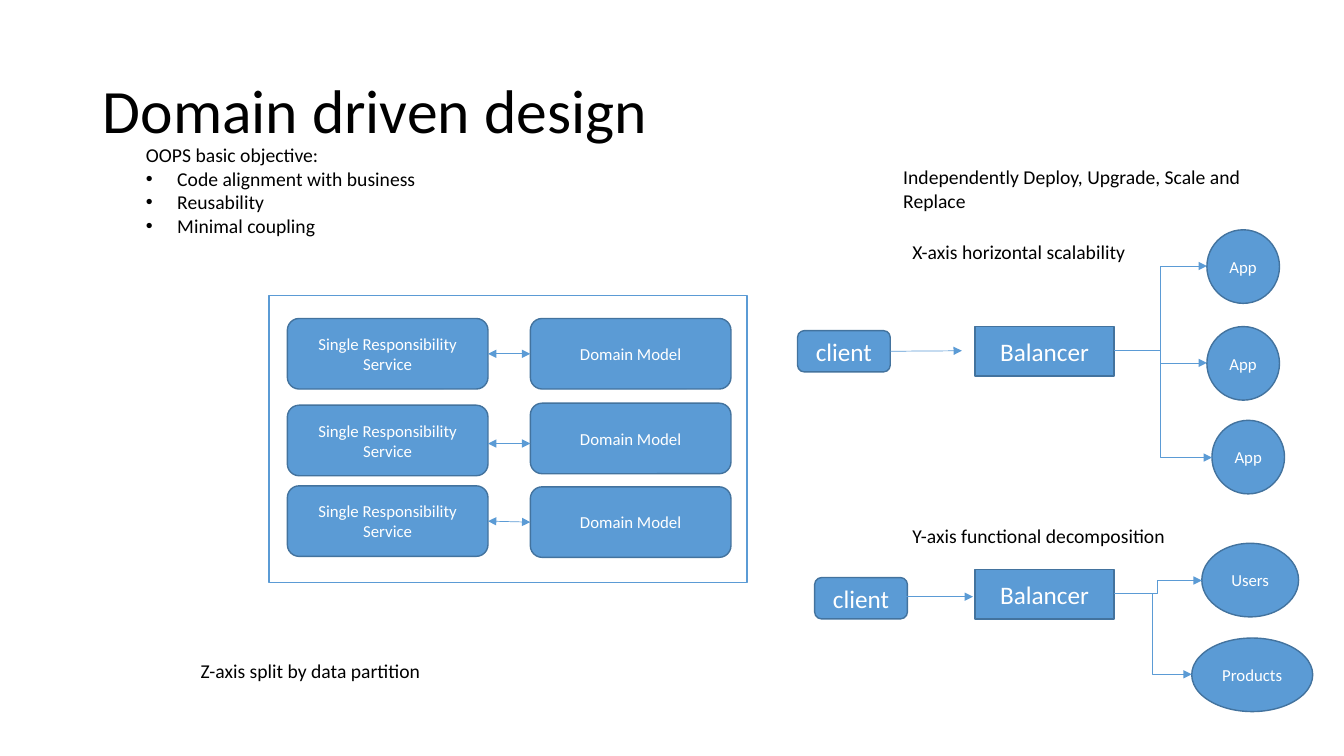
"""Build the slide on domain driven design and its three scaling axes."""
from dataclasses import dataclass

import lxml.etree
import pptx
import pptx.dml.color
import pptx.enum.shapes
import pptx.enum.text
import pptx.oxml.ns
import pptx.util

Inches = pptx.util.Inches
Kind = pptx.enum.shapes.MSO_SHAPE
Route = pptx.enum.shapes.MSO_CONNECTOR
LEFT_SIDE, RIGHT_SIDE = 1, 3


@dataclass(frozen=True)
class Theme:
    font: str = "Calibri"
    fill: str = "5B9BD5"
    outline: str = "43739E"
    paper: str = "FFFFFF"
    ink: str = "000000"
    title_size: int = 44
    label_size: int = 18
    note_size: int = 14
    node_size: int = 12
    outline_width: float = 1
    link_width: float = 0.5


THEME = Theme()


@dataclass(frozen=True)
class Node:
    kind: int
    left: float
    top: float
    width: float
    height: float
    text: str = ""
    size: int = THEME.node_size
    fill: str = THEME.fill
    outline: str = THEME.outline


@dataclass(frozen=True)
class Link:
    start: tuple[float, float]
    end: tuple[float, float]
    trunk: float | None = None
    both_ends: bool = False
    source: Node | None = None
    target: Node | None = None


@dataclass(frozen=True)
class Note:
    left: float
    top: float
    width: float
    height: float
    text: str
    bullets: tuple[str, ...] = ()


def service(top: float) -> Node:
    """Describe one service box."""
    return Node(Kind.ROUNDED_RECTANGLE, 2.85, top, 1.99, 0.7, "Single Responsibility Service")


def model(top: float) -> Node:
    """Describe one domain model box."""
    return Node(Kind.ROUNDED_RECTANGLE, 5.26, top, 1.99, 0.7, "Domain Model")


def client(left: float, top: float) -> Node:
    """Describe one client box."""
    return Node(Kind.ROUNDED_RECTANGLE, left, top, 0.92, 0.41, "client", THEME.label_size)


def balancer(top: float) -> Node:
    """Describe one balancer box."""
    return Node(Kind.RECTANGLE, 9.67, top, 1.38, 0.49, "Balancer", THEME.label_size)


def target(left: float, top: float, width: float, text: str) -> Node:
    """Describe one ellipse that a balancer feeds."""
    return Node(Kind.OVAL, left, top, width, 0.73, text)


FRAME = Node(Kind.RECTANGLE, 2.67, 2.93, 4.74, 2.85, fill=THEME.paper, outline=THEME.fill)
SERVICES = [service(top) for top in (3.16, 4.02, 4.82)]
MODELS = [model(top) for top in (3.16, 4.0, 4.83)]
CLIENTS = [client(7.91, 3.28), client(8.08, 5.73)]
BALANCERS = [balancer(3.24), balancer(5.65)]
TARGETS = [
    target(11.97, 2.28, 0.72, "App"),
    target(11.97, 3.24, 0.72, "App"),
    target(12.02, 4.17, 0.72, "App"),
    target(11.92, 5.39, 0.96, "Users"),
    target(11.82, 6.33, 1.2, "Products"),
]
LINKS = [
    Link((4.84, 3.51), (5.26, 3.51), None, True, SERVICES[0], MODELS[0]),
    Link((4.84, 4.4), (5.26, 4.4), None, True),
    Link((4.84, 5.17), (5.26, 5.18), None, True, SERVICES[2], MODELS[2]),
    Link((8.83, 3.48), (9.54, 3.48), source=CLIENTS[0]),
    Link((8.95, 5.92), (9.65, 5.92)),
    Link((11.05, 3.48), (11.97, 2.64), 11.51),
    Link((11.05, 3.48), (11.97, 3.6), 11.51),
    Link((11.05, 3.48), (12.02, 4.54), 11.51),
    Link((11.05, 5.89), (11.92, 5.76), 11.48),
    Link((11.05, 5.89), (11.82, 6.69), 11.43),
]
NOTES = [
    Note(1.35, 1.37, 3.37, 1.04, "OOPS basic objective:",
         ("Code alignment with business", "Reusability", "Minimal coupling")),
    Note(8.86, 1.59, 4.05, 0.57, "Independently Deploy, Upgrade, Scale and Replace"),
    Note(8.95, 2.33, 3.92, 0.34, "X-axis horizontal scalability"),
    Note(8.95, 5.15, 3.92, 0.34, "Y-axis functional decomposition"),
    Note(1.89, 6.49, 3.92, 0.34, "Z-axis split by data partition"),
]


def colour(code: str) -> pptx.dml.color.RGBColor:
    """Turn a hex code into a colour."""
    return pptx.dml.color.RGBColor.from_string(code)


def add_child(parent, tag: str, **attributes: str):
    """Append a drawing element to its parent."""
    return lxml.etree.SubElement(parent, pptx.oxml.ns.qn(tag), attributes)


def add_span(para, text: str, size: int, ink: str) -> None:
    """Add one styled run to a paragraph."""
    span = para.add_run()
    span.text = text
    span.font.name = THEME.font
    span.font.size = pptx.util.Pt(size)
    span.font.color.rgb = colour(ink)


def add_title(page, text: str) -> None:
    """Add the page title."""
    box = page.shapes.add_textbox(Inches(0.92), Inches(0.4), Inches(11.5), Inches(1.45))
    frame = box.text_frame
    frame.word_wrap = True
    frame.vertical_anchor = pptx.enum.text.MSO_ANCHOR.MIDDLE
    frame.paragraphs[0].line_spacing = 0.9
    add_span(frame.paragraphs[0], text, THEME.title_size, THEME.ink)


def add_note(page, note: Note) -> None:
    """Add a text box with optional bullets."""
    box = page.shapes.add_textbox(*map(Inches, (note.left, note.top, note.width, note.height)))
    frame = box.text_frame
    frame.word_wrap = True
    frame.auto_size = pptx.enum.text.MSO_AUTO_SIZE.SHAPE_TO_FIT_TEXT
    add_span(frame.paragraphs[0], note.text, THEME.note_size, THEME.ink)
    for bullet in note.bullets:
        para = frame.add_paragraph()
        add_span(para, bullet, THEME.note_size, THEME.ink)
        properties = para._p.get_or_add_pPr()
        properties.set("marL", str(Inches(0.31)))
        properties.set("indent", str(-Inches(0.31)))
        add_child(properties, "a:buFont", typeface="Arial")
        add_child(properties, "a:buChar", char="•")


def add_node(page, node: Node):
    """Add a filled shape with its centred label."""
    box = page.shapes.add_shape(
        node.kind, *map(Inches, (node.left, node.top, node.width, node.height)))
    box.shadow.inherit = False
    box.fill.solid()
    box.fill.fore_color.rgb = colour(node.fill)
    box.line.color.rgb = colour(node.outline)
    box.line.width = pptx.util.Pt(THEME.outline_width)
    if node.text:
        box.text_frame.word_wrap = True
        box.text_frame.vertical_anchor = pptx.enum.text.MSO_ANCHOR.MIDDLE
        para = box.text_frame.paragraphs[0]
        para.alignment = pptx.enum.text.PP_ALIGN.CENTER
        add_span(para, node.text, node.size, THEME.paper)
    return box


def add_link(page, link: Link, boxes: dict) -> None:
    """Add a straight arrow, or an elbow arrow that turns at its trunk."""
    route = Route.STRAIGHT if link.trunk is None else Route.ELBOW
    arrow = page.shapes.add_connector(route, *map(Inches, link.start + link.end))
    if link.source:
        arrow.begin_connect(boxes[link.source], RIGHT_SIDE)
    if link.target:
        arrow.end_connect(boxes[link.target], LEFT_SIDE)
    arrow.line.color.rgb = colour(THEME.fill)
    arrow.line.width = pptx.util.Pt(THEME.link_width)
    properties = arrow.element.spPr
    if link.trunk is not None:
        share = (link.trunk - link.start[0]) / (link.end[0] - link.start[0])
        guides = properties.find(".//" + pptx.oxml.ns.qn("a:avLst"))
        add_child(guides, "a:gd", name="adj1", fmla=f"val {round(share * 100000)}")
    outline = properties.get_or_add_ln()
    if link.both_ends:
        add_child(outline, "a:headEnd", type="triangle")
    add_child(outline, "a:tailEnd", type="triangle")
    add_child(properties, "a:effectLst")


def main() -> None:
    """Build and save the deck."""
    deck = pptx.Presentation()
    deck.slide_width, deck.slide_height = Inches(13.33), Inches(7.5)
    page = deck.slides.add_slide(deck.slide_layouts[6])
    add_title(page, "Domain driven design")
    nodes = [FRAME, *SERVICES, *MODELS, *CLIENTS, *BALANCERS, *TARGETS]
    boxes = {node: add_node(page, node) for node in nodes}
    for link in LINKS:
        add_link(page, link, boxes)
    for note in NOTES:
        add_note(page, note)
    deck.save("out.pptx")


if __name__ == "__main__":
    main()
